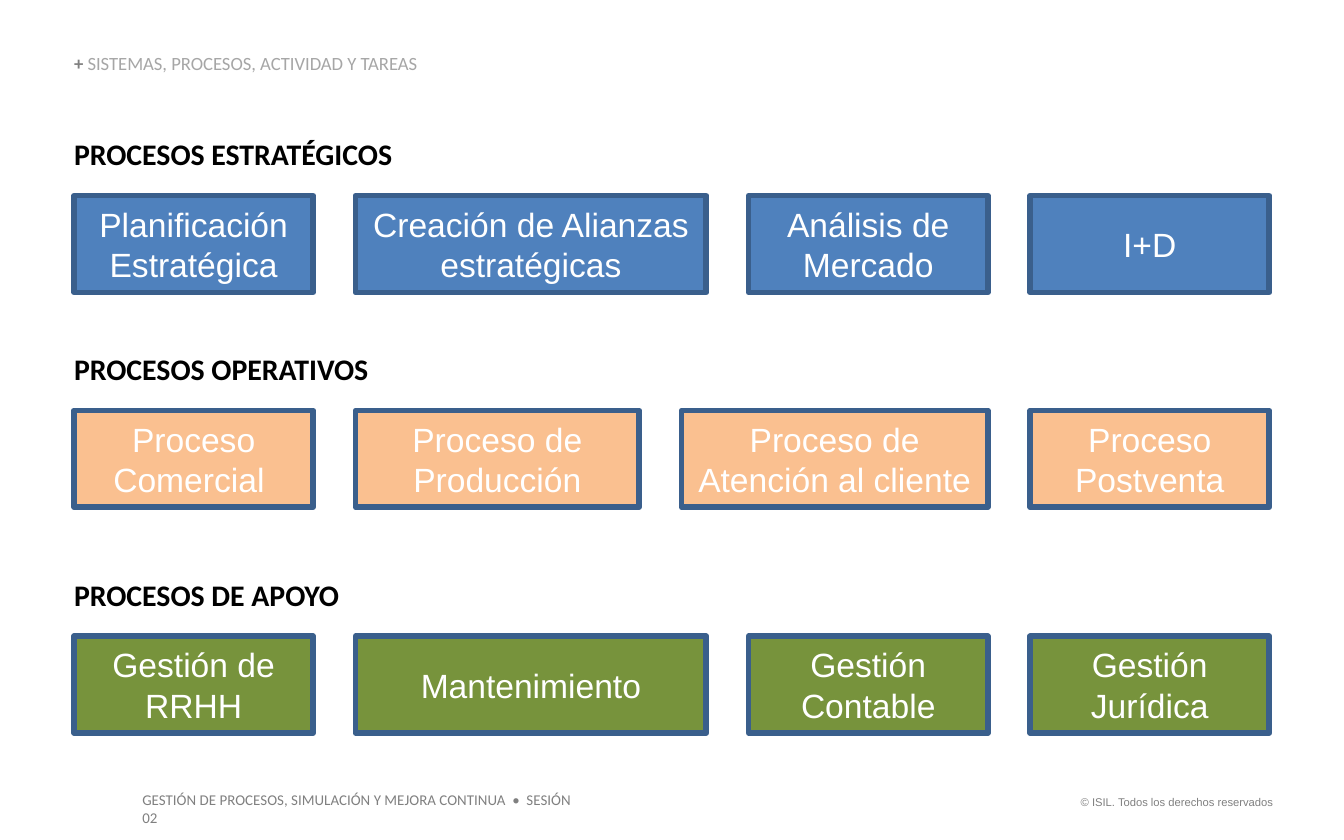
"""Build a process map slide with strategic, operational and support processes."""
from pptx import Presentation
from pptx.dml.color import RGBColor
from pptx.enum.shapes import MSO_SHAPE
from pptx.enum.text import MSO_ANCHOR, MSO_AUTO_SIZE, PP_ALIGN
from pptx.util import Cm, Pt

RECTANGLE = MSO_SHAPE.RECTANGLE
TOP, MIDDLE, BOTTOM = MSO_ANCHOR.TOP, MSO_ANCHOR.MIDDLE, MSO_ANCHOR.BOTTOM
LEFT, CENTER, RIGHT = PP_ALIGN.LEFT, PP_ALIGN.CENTER, PP_ALIGN.RIGHT
NO_AUTOFIT = MSO_AUTO_SIZE.NONE

BLACK = RGBColor(0x00, 0x00, 0x00)
WHITE = RGBColor(0xFF, 0xFF, 0xFF)
GRAY = RGBColor(0x80, 0x80, 0x80)
LIGHT_GRAY = RGBColor(0xA6, 0xA6, 0xA6)
BLUE = RGBColor(0x4F, 0x81, 0xBD)
DARK_BLUE = RGBColor(0x3A, 0x5F, 0x8C)
ORANGE = RGBColor(0xFA, 0xC0, 0x90)
GREEN = RGBColor(0x77, 0x93, 0x3C)

MARGIN = 1.4
GAP = 0.8
BOX_HEIGHT = 1.83
BOX_OFFSET = 1.13
NARROW = 4.52

PROCESS_GROUPS = [
    ("PROCESOS ESTRATÉGICOS", 2.57, BLUE, [
        ("Planificación Estratégica", NARROW),
        ("Creación de Alianzas estratégicas", 6.63),
        ("Análisis de Mercado", NARROW),
        ("I+D", NARROW),
    ]),
    ("PROCESOS OPERATIVOS", 6.63, ORANGE, [
        ("Proceso Comercial ", NARROW),
        ("Proceso de Producción", 5.36),
        ("Proceso de Atención al cliente", 5.79),
        ("Proceso Postventa", NARROW),
    ]),
    ("PROCESOS DE APOYO", 10.9, GREEN, [
        ("Gestión de RRHH", NARROW),
        ("Mantenimiento", 6.63),
        ("Gestión Contable", NARROW),
        ("Gestión Jurídica", NARROW),
    ]),
]


class ProcessMap:
    """Hold the style and the current slide."""

    heading_font = "Calibri"
    body_font = "Arial"

    def __init__(self, slide):
        self.slide = slide

    def fill_text(self, shape, runs, font, size, align=LEFT, anchor=TOP, inset=None):
        frame = shape.text_frame
        frame.word_wrap = True
        frame.auto_size = NO_AUTOFIT
        frame.vertical_anchor = anchor
        if inset is not None:
            frame.margin_left = frame.margin_right = Cm(inset)
            frame.margin_top = frame.margin_bottom = Cm(inset)
        paragraph = frame.paragraphs[0]
        paragraph.alignment = align
        for text, color, bold in runs:
            run = paragraph.add_run()
            run.text = text
            run.font.name = font
            run.font.size = Pt(size)
            run.font.bold = bold
            run.font.color.rgb = color
        return paragraph

    def title(self, runs, left, top, width, height):
        title = self.slide.shapes.title
        title.left, title.top = Cm(left), Cm(top)
        title.width, title.height = Cm(width), Cm(height)
        paragraph = self.fill_text(title, runs, self.heading_font, 10,
                                   anchor=BOTTOM, inset=0)
        paragraph.line_spacing = 0.9

    def text(self, text, left, top, width, height, font, size, color,
             bold=False, align=LEFT, inset=None):
        box = self.slide.shapes.add_textbox(Cm(left), Cm(top), Cm(width), Cm(height))
        self.fill_text(box, [(text, color, bold)], font, size, align, inset=inset)

    def process(self, text, left, top, width, color):
        box = self.slide.shapes.add_shape(
            RECTANGLE, Cm(left), Cm(top), Cm(width), Cm(BOX_HEIGHT))
        box.shadow.inherit = False
        box.fill.solid()
        box.fill.fore_color.rgb = color
        box.line.color.rgb = DARK_BLUE
        box.line.width = Pt(3)
        self.fill_text(box, [(text, WHITE, False)], self.body_font, 18, CENTER, MIDDLE)

    def group(self, heading, top, color, processes):
        self.text(heading, MARGIN, top, 8, 0.69, self.heading_font, 16, BLACK,
                  bold=True, inset=0)
        left = MARGIN
        for name, width in processes:
            self.process(name, left, top + BOX_OFFSET, width, color)
            left += width + GAP


def main():
    presentation = Presentation()
    presentation.slide_width, presentation.slide_height = Cm(25.4), Cm(15.88)
    slide = presentation.slides.add_slide(presentation.slide_layouts[5])
    process_map = ProcessMap(slide)
    process_map.text("© ISIL. Todos los derechos reservados", 20.02, 14.91, 4.29, 0.51,
                     process_map.body_font, 6, GRAY, align=RIGHT)
    process_map.text("GESTIÓN DE PROCESOS, SIMULACIÓN Y MEJORA CONTINUA  •  SESIÓN 02",
                     2.44, 14.83, 8.8, 0.61, process_map.heading_font, 8, GRAY)
    process_map.title([("+ ", GRAY, True),
                       ("SISTEMAS, PROCESOS, ACTIVIDAD Y TAREAS", LIGHT_GRAY, False)],
                      MARGIN, 1.04, 7.85, 0.38)
    for group in PROCESS_GROUPS:
        process_map.group(*group)
    presentation.save("out.pptx")


if __name__ == "__main__":
    main()
